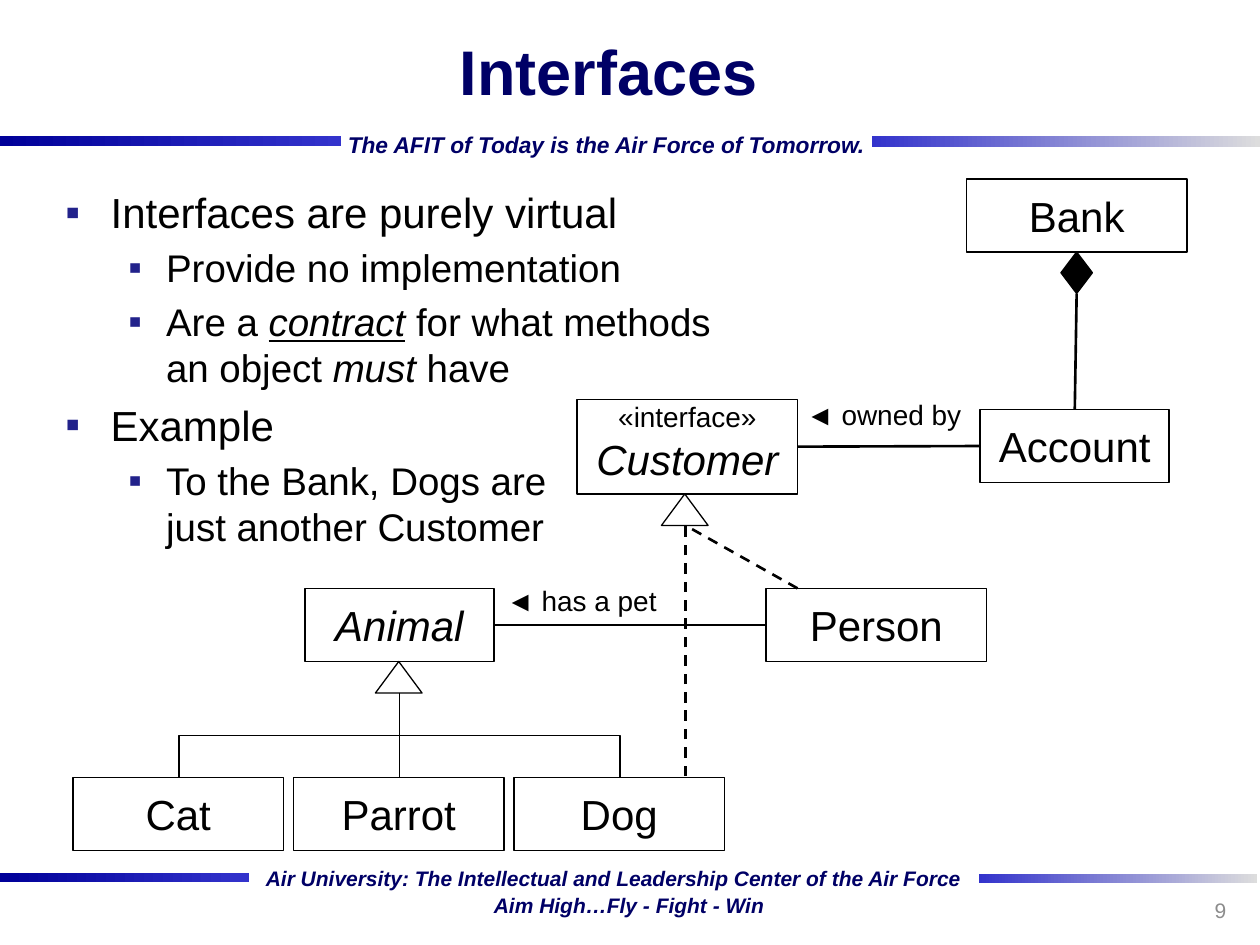
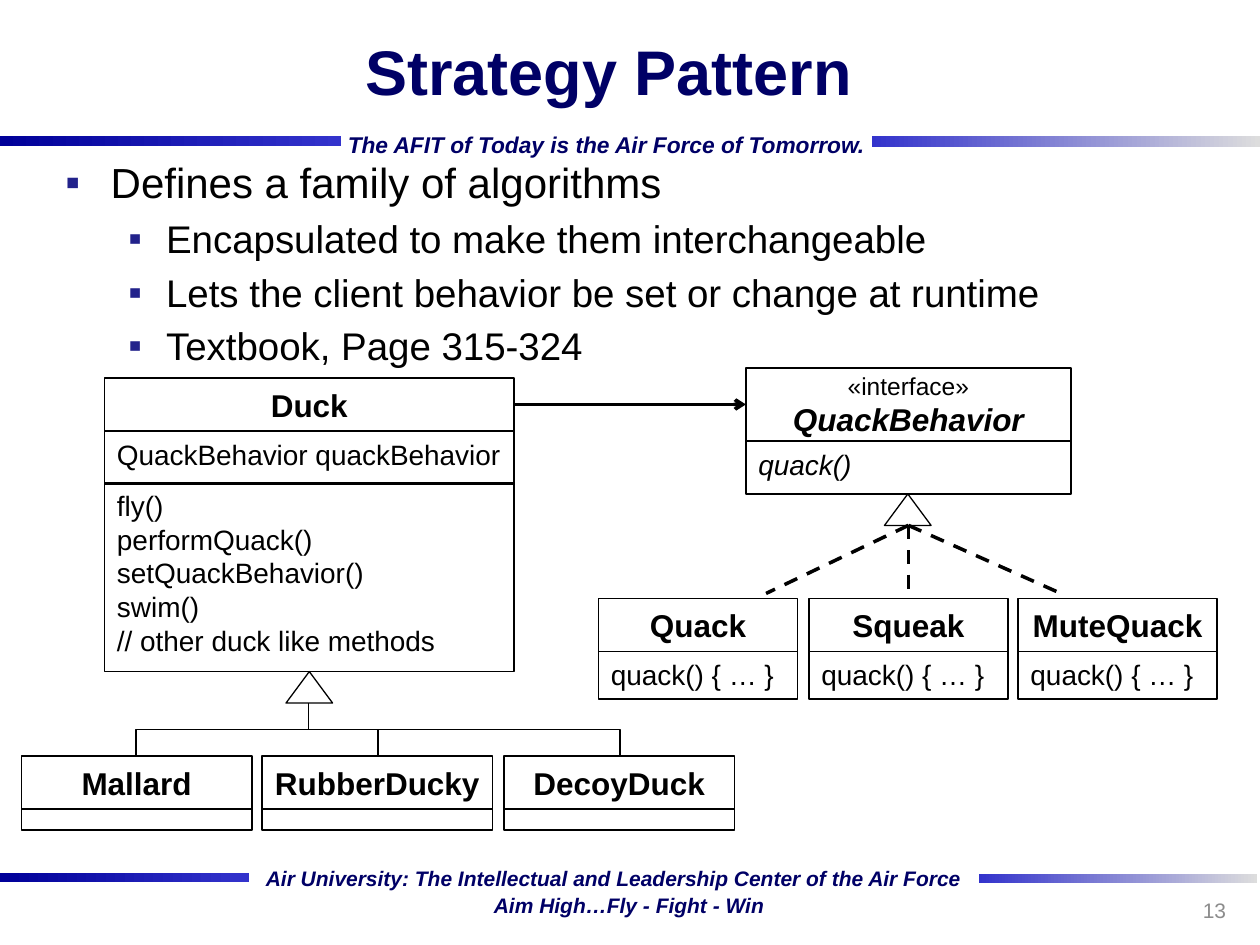
import copy

import pptx
import pptx.dml.color
import pptx.enum.dml
import pptx.enum.shapes
import pptx.enum.text
import pptx.oxml.ns
import pptx.util
from lxml import etree

Inches, Pt = pptx.util.Inches, pptx.util.Pt
RGB = pptx.dml.color.RGBColor.from_string
KIND = pptx.enum.shapes.MSO_SHAPE
JOIN = pptx.enum.shapes.MSO_CONNECTOR
DASH = pptx.enum.dml.MSO_LINE.DASH
ALIGN = pptx.enum.text.PP_ALIGN
ANCHOR = pptx.enum.text.MSO_ANCHOR
qn = pptx.oxml.ns.qn

COLORS = {"ink": "000000", "navy": "000066", "deep": "000099", "blue": "3333CC",
          "pale": "DDDDDD", "gray": "8C8C8C", "mark": "22228B"}
ITALIC = {"italic": True}
LEVELS = [(24, 0.36, -0.36), (22, 0.8, -0.3)]  # size, margin, indent


def put(slide, text, at, kind=None, fill=None, line=1, size=24, color="ink",
        bold=False, italic=False, align="CENTER", anchor="MIDDLE",
        ins=(0.1, 0.05, 0.1, 0.05), wrap=True, grow=False, levels=None):
    """Add a text box, or a shape of the given kind.

    Text is a string or a list of paragraphs; a paragraph is a string
    or a list of (words, font settings) runs.
    """
    spot = [Inches(v) for v in at]
    if kind is None:
        shape = slide.shapes.add_textbox(*spot)
    else:
        shape = slide.shapes.add_shape(kind, *spot)
        shape.shadow.inherit = False
        shape.line.color.rgb = RGB(COLORS["ink"])
        shape.line.width = Pt(line)
        if fill:
            shape.fill.solid()
            shape.fill.fore_color.rgb = RGB(COLORS[fill])
        else:
            shape.fill.background()
    if not text:
        return shape

    frame = shape.text_frame
    frame.word_wrap = wrap
    frame.vertical_anchor = ANCHOR[anchor]
    if grow:
        frame.auto_size = pptx.enum.text.MSO_AUTO_SIZE.SHAPE_TO_FIT_TEXT
    (frame.margin_left, frame.margin_top,
     frame.margin_right, frame.margin_bottom) = [Inches(v) for v in ins]

    for i, para in enumerate([text] if isinstance(text, str) else text):
        p = frame.add_paragraph() if i else frame.paragraphs[0]
        p.alignment = ALIGN[align]
        if levels:
            size, margin, indent = LEVELS[levels[i]]
            p.level = levels[i]
            p.space_before = Pt(size * 0.2)
            props = p._p.get_or_add_pPr()
            props.set("marL", str(Inches(margin)))
            props.set("indent", str(Inches(indent)))
            tint = etree.SubElement(props, qn("a:buClr"))
            etree.SubElement(tint, qn("a:srgbClr"), val=COLORS["mark"])
            etree.SubElement(props, qn("a:buFont"), typeface="Arial")
            etree.SubElement(props, qn("a:buChar"), char="▪")
        for words, extra in [(para, {})] if isinstance(para, str) else para:
            look = {"size": size, "bold": bold, "italic": italic, **extra}
            for n, part in enumerate(words.split("\n")):
                if n:
                    p.add_line_break()
                    p._p[-1].append(copy.deepcopy(run._r.rPr))
                if not part:
                    continue
                run = p.add_run()
                run.text = part
                run.font.name = "Arial"
                run.font.color.rgb = RGB(COLORS[color])
                run.font.size = Pt(look["size"])
                run.font.bold, run.font.italic = look["bold"], look["italic"]
                if look.get("underline"):
                    run.font.underline = True
    return shape


def link(slide, start, end, width=1.5, dash=False, arrow=False, bent=False,
         begin=None, finish=None):
    """Draw a connector; begin and finish are (shape, side) joints."""
    (x1, y1), (x2, y2) = start, end
    if bent:
        # The elbow runs down first, so its frame is turned a quarter
        mid, half = (x1 + x2) / 2, (y2 - y1) / 2
        level, reach = (y1 + y2) / 2, abs(x2 - x1) / 2
        x1, x2, y1, y2 = mid - half, mid + half, level - reach, level + reach
    line = slide.shapes.add_connector(JOIN.ELBOW if bent else JOIN.STRAIGHT,
                                      Inches(x1), Inches(y1), Inches(x2), Inches(y2))
    if bent:
        frame = line._element.spPr.find(qn("a:xfrm"))
        right = end[0] > start[0]
        frame.set("rot", "16200000" if right else "5400000")
        if right:
            frame.set("flipH", "1")
    line.line.color.rgb = RGB(COLORS["ink"])
    line.line.width = Pt(width)
    if dash:
        line.line.dash_style = DASH
    if arrow:
        etree.SubElement(line.line._get_or_add_ln(), qn("a:tailEnd"), type="arrow")
    etree.SubElement(line._element.spPr, qn("a:effectLst"))
    if begin:
        line.begin_connect(*begin)
    if finish:
        line.end_connect(*finish)
    return line


deck = pptx.Presentation()
deck.slide_width, deck.slide_height = Inches(10), Inches(7.5)

# Shared bands, mottos, title and page number
BANDS = [((0, 6.93, 1.98, 0.07), "deep", "blue"),
         ((7.77, 6.94, 2.21, 0.07), "blue", "pale"),
         ((6.92, 1.08, 3.08, 0.09), "blue", "pale"),
         ((0, 1.08, 2.71, 0.08), "deep", "blue")]
MOTTOS = [
    ("Air University: The Intellectual and Leadership Center of the Air Force",
     (2.02, 6.82, 5.76, 0.29), 12, 0.05),
    ("Aim High…Fly - Fight - Win", (3.83, 7.04, 2.36, 0.29), 12, 0.04),
    ("The AFIT of Today is the Air Force of Tomorrow.",
     (2.67, 0.99, 4.35, 0.31), 13, 0.05)]
pages = []
for title, number in [("Interfaces", "9"), ("Strategy Pattern", "13")]:
    page = deck.slides.add_slide(deck.slide_layouts[6])
    for at, first, last in BANDS:
        band = put(page, "", at, KIND.RECTANGLE)
        band.line.fill.background()
        band.fill.gradient()
        band.fill.gradient_angle = 0
        for stop, name, place in zip(band.fill.gradient_stops, (first, last), (0, 1)):
            stop.color.rgb = RGB(COLORS[name])
            stop.position = place
    for words, at, size, pad in MOTTOS:
        put(page, words, at, size=size, color="navy", bold=True, italic=True,
            align="LEFT", anchor="TOP", ins=(0.09, pad, 0.09, pad),
            wrap=False, grow=True)
    put(page, title, (0.58, 0, 8.5, 1.12), size=36, color="navy", bold=True)
    put(page, number, (7.5, 7.02, 2.33, 0.4), size=12, color="gray", align="RIGHT")
    pages.append(page)
faces, plan = pages

# Interfaces: bullets
put(faces, ["Interfaces are purely virtual",
            "Provide no implementation",
            [("Are a ", {}), ("contract", {"italic": True, "underline": True}),
             (" for what methods\nan object ", {}), ("must", ITALIC), (" have", {})],
            "Example",
            "To the Bank, Dogs are\njust another Customer"],
    (0.42, 1.42, 8.99, 3), align="LEFT", levels=[0, 1, 1, 0, 1])

# Interfaces: class boxes
box = {}
for name, x, y, w in [("Bank", 7.67, 1.42, 1.75), ("Account", 7.78, 3.25, 1.5),
                      ("Animal", 2.42, 4.67, 1.5), ("Person", 6.08, 4.67, 1.75),
                      ("Cat", 0.58, 6.17, 1.67), ("Parrot", 2.33, 6.17, 1.67),
                      ("Dog", 4.08, 6.17, 1.67)]:
    box[name] = put(faces, name, (x, y, w, 0.58), KIND.RECTANGLE,
                    italic=name == "Animal")
client = put(faces, [[("«interface»\n", {"size": 16}), ("Customer", ITALIC)]],
             (4.58, 3.17, 1.75, 0.75), KIND.RECTANGLE, anchor="TOP",
             ins=(0.1, 0, 0.1, 0.05))

# Interfaces: relations
gem = put(faces, "", (8.42, 2, 0.25, 0.33), KIND.DIAMOND, fill="ink", line=0.75)
link(faces, (8.54, 2.33), (8.53, 3.25), begin=(gem, 2), finish=(box["Account"], 0))
link(faces, (7.78, 3.54), (6.33, 3.54), begin=(box["Account"], 1), finish=(client, 3))
link(faces, (6.08, 4.96), (3.92, 4.96),
     begin=(box["Person"], 1), finish=(box["Animal"], 3))
for words, at in [("◄ owned by", (6.3, 3.11, 1.45, 0.37)),
                  ("◄ has a pet", (3.92, 4.58, 1.41, 0.37))]:
    put(faces, words, at, size=16, align="LEFT", anchor="TOP", wrap=False, grow=True)
for x, y in [(2.98, 5.25), (5.25, 3.92)]:
    put(faces, "", (x, y, 0.37, 0.25), KIND.ISOSCELES_TRIANGLE, line=0.75)
for x in (1.42, 3.17, 4.92):
    link(faces, (3.17, 5.5), (x, 6.17), width=0.75, bent=True)
for start in [(6.33, 4.67), (5.44, 6.16)]:
    link(faces, start, (5.44, 4.17), dash=True)

# Strategy: bullets
put(plan, ["Defines a family of algorithms",
           "Encapsulated to make them interchangeable",
           "Lets the client behavior be set or change at runtime",
           "Textbook, Page 315-324"],
    (0.42, 1.42, 8.99, 1.33), align="LEFT", levels=[0, 1, 1, 1])

# Strategy: class heads
head = {}
for name, x, y, w in [("Duck", 0.83, 3, 3.25), ("Quack", 4.75, 4.75, 1.58),
                      ("Squeak", 6.42, 4.75, 1.58), ("MuteQuack", 8.08, 4.75, 1.58),
                      ("Mallard", 0.17, 6, 1.83), ("RubberDucky", 2.08, 6, 1.83),
                      ("DecoyDuck", 4, 6, 1.83)]:
    head[name] = put(plan, name, (x, y, w, 0.42), KIND.RECTANGLE,
                     size=18, bold=True, wrap=False)
quacker = put(plan, [[("«interface»\n", {"size": 14}),
                      ("QuackBehavior", {"bold": True, "italic": True})]],
              (5.92, 2.92, 2.58, 0.58), KIND.RECTANGLE, size=18)

# Strategy: fields and methods
cell = {"kind": KIND.RECTANGLE, "size": 16, "align": "LEFT", "anchor": "TOP"}
put(plan, "QuackBehavior quackBehavior", (0.83, 3.42, 3.25, 0.42), wrap=False, **cell)
put(plan, ["fly()", "performQuack()", "setQuackBehavior()", "swim()",
           "// other duck like methods"], (0.83, 3.83, 3.25, 1.5), **cell)
put(plan, "quack()", (5.92, 3.5, 2.58, 0.42), italic=True, **cell)
for x in (4.75, 6.42, 8.08):
    put(plan, "quack() { … }", (x, 5.17, 1.58, 0.38), **cell)
for x in (0.17, 2.08, 4):
    put(plan, "", (x, 6.42, 1.83, 0.17), KIND.RECTANGLE)

# Strategy: relations
for x, y in [(7.02, 3.92), (2.27, 5.33)]:
    put(plan, "", (x, y, 0.37, 0.25), KIND.ISOSCELES_TRIANGLE, line=0.75)
link(plan, (4.08, 3.21), (5.92, 3.21), width=2, arrow=True,
     begin=(head["Duck"], 3), finish=(quacker, 1))
for end, joint in [((6.08, 4.71), None), ((7.21, 4.75), (head["Squeak"], 0)),
                   ((8.42, 4.71), None)]:
    link(plan, (7.21, 4.17), end, width=2, dash=True, finish=joint)
for x in (1.08, 3, 4.92):
    link(plan, (2.45, 5.58), (x, 6), width=0.75, bent=True)

deck.save("out.pptx")
